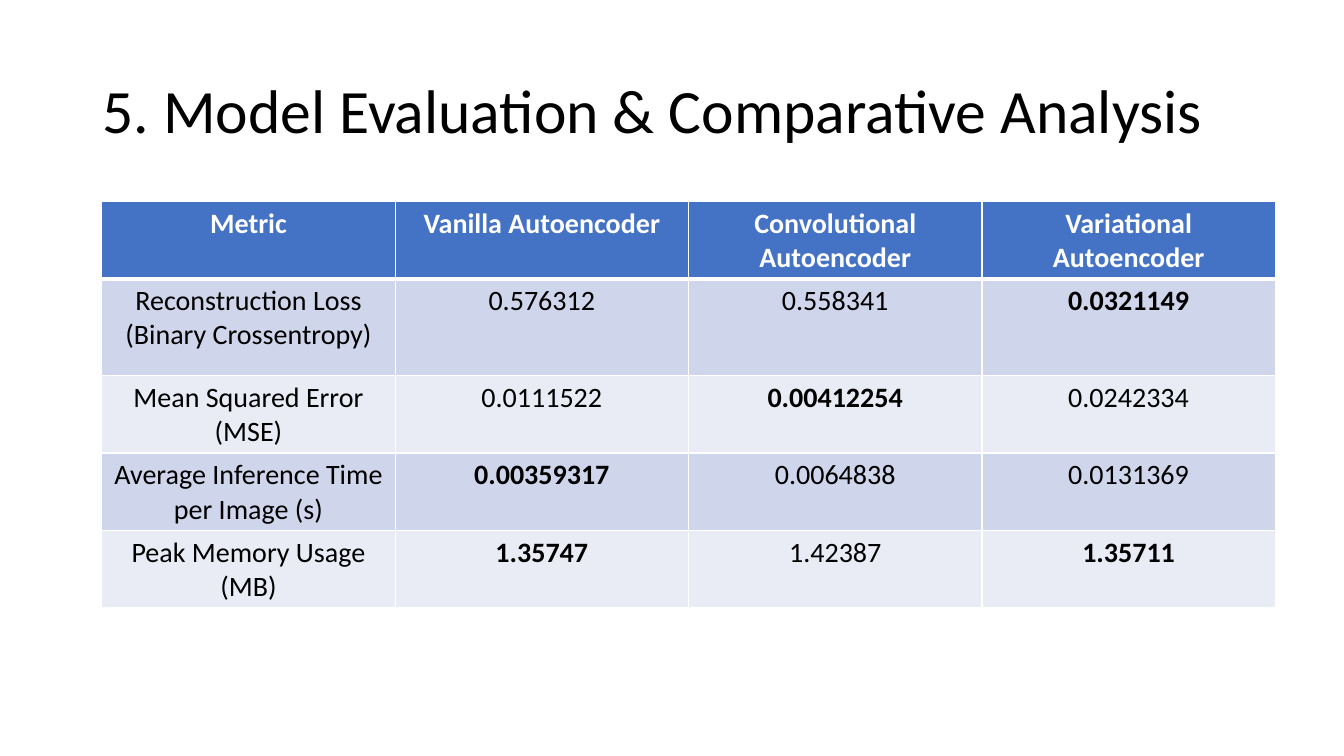
from dataclasses import dataclass

from lxml import etree
from pptx import Presentation
from pptx.dml.color import RGBColor
from pptx.enum.text import MSO_ANCHOR, PP_ALIGN
from pptx.oxml.ns import qn
from pptx.util import Inches, Pt

CENTER = PP_ALIGN.CENTER
MIDDLE = MSO_ANCHOR.MIDDLE
BLANK_LAYOUT = 6


@dataclass(frozen=True)
class Theme:
    font: str = "Calibri"
    title_size: int = 44
    table_size: int = 20
    text: str = "000000"
    header_text: str = "FFFFFF"
    header_fill: str = "4472C4"
    bands: tuple = ("CFD5EA", "E9EBF5")
    border: str = "FFFFFF"
    thin: int = 1
    thick: int = 3


THEME = Theme()

TITLE = "5. Model Evaluation & Comparative Analysis"
HEADERS = ("Metric", "Vanilla Autoencoder", "Convolutional Autoencoder",
           "Variational Autoencoder")
# Each row: metric, its values, and the columns holding the best results
METRICS = (
    ("Reconstruction Loss (Binary Crossentropy)",
     ("0.576312", "0.558341", "0.0321149"), {3}),
    ("Mean Squared Error (MSE)",
     ("0.0111522", "0.00412254", "0.0242334"), {2}),
    ("Average Inference Time per Image (s)",
     ("0.00359317", "0.0064838", "0.0131369"), {1}),
    ("Peak Memory Usage (MB)",
     ("1.35747", "1.42387", "1.35711"), {1, 3}),
)
COLUMN_WIDTH = 2.91
ROW_HEIGHTS = (0.76, 0.96, 0.76, 0.76, 0.76)


def style_paragraph(paragraph, size, color, bold=False):
    font = paragraph.font
    font.name = THEME.font
    font.size = Pt(size)
    font.bold = bold
    font.color.rgb = RGBColor.from_string(color)


def add_title(slide, text):
    shape = slide.shapes.add_textbox(Inches(0.92), Inches(0.4), Inches(11.5), Inches(1.45))
    frame = shape.text_frame
    frame.word_wrap = True
    frame.vertical_anchor = MIDDLE
    paragraph = frame.paragraphs[0]
    paragraph.text = text
    paragraph.line_spacing = 0.9
    style_paragraph(paragraph, THEME.title_size, THEME.text)


def set_borders(cell, top, bottom):
    """Draw the four cell borders; they must come before the fill in the XML."""
    properties = cell._tc.get_or_add_tcPr()
    widths = {"lnL": THEME.thin, "lnR": THEME.thin, "lnT": top, "lnB": bottom}
    for position, (side, width) in enumerate(widths.items()):
        line = etree.Element(qn(f"a:{side}"), w=str(Pt(width)))
        fill = etree.SubElement(line, qn("a:solidFill"))
        etree.SubElement(fill, qn("a:srgbClr"), val=THEME.border)
        properties.insert(position, line)


def fill_cell(cell, text, fill, color, bold):
    cell.fill.solid()
    cell.fill.fore_color.rgb = RGBColor.from_string(fill)
    paragraph = cell.text_frame.paragraphs[0]
    paragraph.text = text
    paragraph.alignment = CENTER
    style_paragraph(paragraph, THEME.table_size, color, bold)


def add_metrics_table(slide):
    table = slide.shapes.add_table(
        len(METRICS) + 1, len(HEADERS), Inches(1.01), Inches(2),
        Inches(COLUMN_WIDTH * len(HEADERS)), Inches(sum(ROW_HEIGHTS))).table
    for column in table.columns:
        column.width = Inches(COLUMN_WIDTH)
    for row, height in zip(table.rows, ROW_HEIGHTS):
        row.height = Inches(height)

    # Header row, set off by a thick rule
    for column, text in enumerate(HEADERS):
        cell = table.cell(0, column)
        fill_cell(cell, text, THEME.header_fill, THEME.header_text, True)
        set_borders(cell, THEME.thin, THEME.thick)

    # Banded metric rows with the best results in bold
    for row, (metric, values, best) in enumerate(METRICS, start=1):
        fill = THEME.bands[(row - 1) % 2]
        top = THEME.thick if row == 1 else THEME.thin
        for column, text in enumerate((metric, *values)):
            cell = table.cell(row, column)
            fill_cell(cell, text, fill, THEME.text, column in best)
            set_borders(cell, top, THEME.thin)


def main():
    presentation = Presentation()
    presentation.slide_width = Inches(13.33)
    presentation.slide_height = Inches(7.5)
    slide = presentation.slides.add_slide(presentation.slide_layouts[BLANK_LAYOUT])
    add_title(slide, TITLE)
    add_metrics_table(slide)
    presentation.save("out.pptx")


if __name__ == "__main__":
    main()
